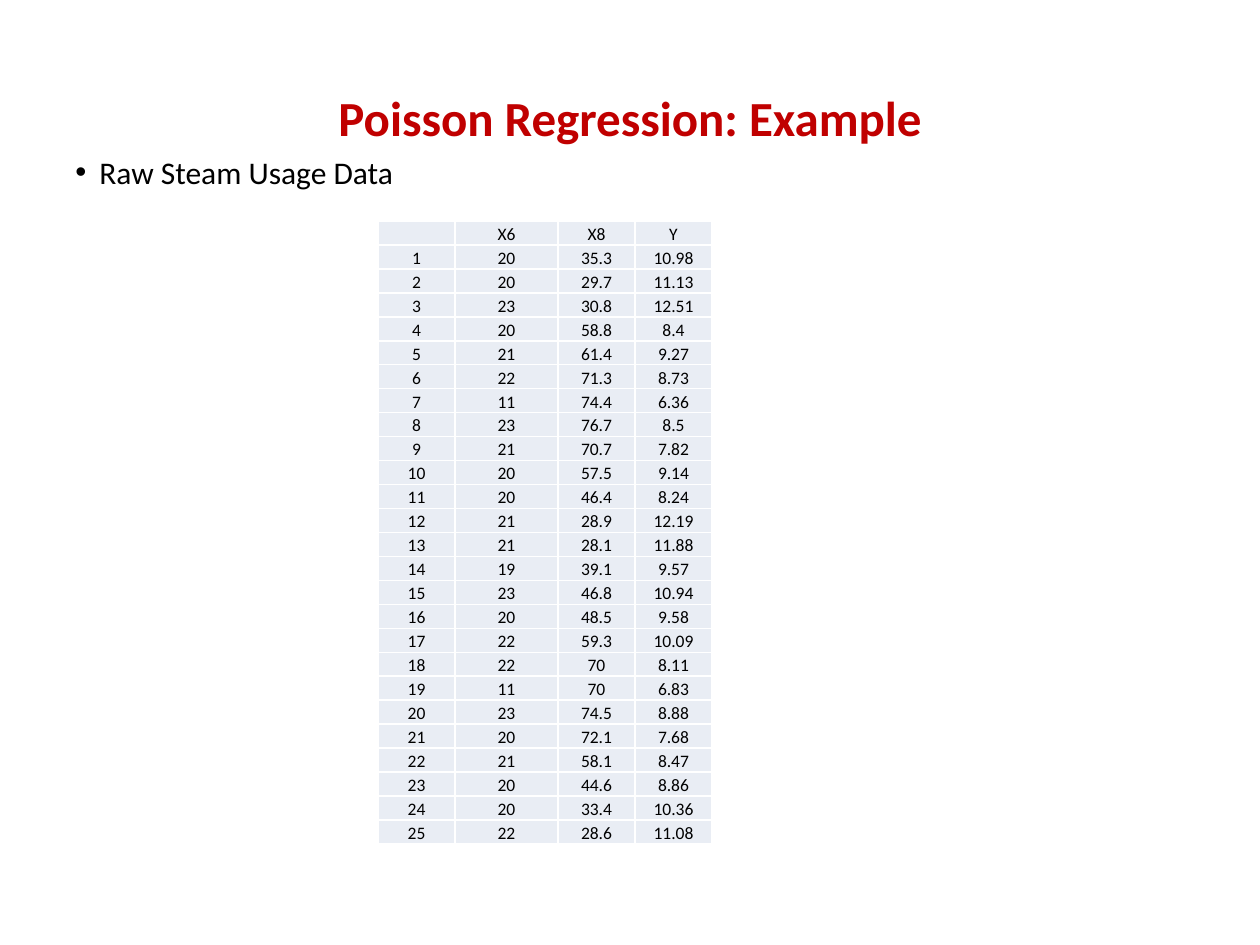
from lxml import etree
from pptx import Presentation
from pptx.dml.color import RGBColor
from pptx.enum.text import MSO_ANCHOR, PP_ALIGN
from pptx.oxml.ns import qn
from pptx.util import Emu, Pt

FONT = "Calibri"
RED = RGBColor(0xC0, 0x00, 0x00)
BLACK = RGBColor(0x00, 0x00, 0x00)
WHITE = RGBColor(0xFF, 0xFF, 0xFF)
PALE = RGBColor(0xE9, 0xED, 0xF4)
LEFT, CENTER = PP_ALIGN.LEFT, PP_ALIGN.CENTER
TOP, MIDDLE, BOTTOM = MSO_ANCHOR.TOP, MSO_ANCHOR.MIDDLE, MSO_ANCHOR.BOTTOM

COL_WIDTHS = (77, 103, 77, 77)
ROW_HEIGHT = 24
HEADER = ("", "X6", "X8", "Y")
STEAM_DATA = (
    (20, 35.3, 10.98), (20, 29.7, 11.13), (23, 30.8, 12.51), (20, 58.8, 8.4),
    (21, 61.4, 9.27), (22, 71.3, 8.73), (11, 74.4, 6.36), (23, 76.7, 8.5),
    (21, 70.7, 7.82), (20, 57.5, 9.14), (20, 46.4, 8.24), (21, 28.9, 12.19),
    (21, 28.1, 11.88), (19, 39.1, 9.57), (23, 46.8, 10.94), (20, 48.5, 9.58),
    (22, 59.3, 10.09), (22, 70, 8.11), (11, 70, 6.83), (23, 74.5, 8.88),
    (20, 72.1, 7.68), (21, 58.1, 8.47), (20, 44.6, 8.86), (20, 33.4, 10.36),
    (22, 28.6, 11.08),
)


def px(n):
    """Turn pixels into EMU."""
    return Emu(round(n * 914400 / 126))


def write(tf, text, size=10, color=BLACK, bold=False, align=CENTER):
    """Write one formatted paragraph and return it."""
    p = tf.paragraphs[0]
    p.alignment = align
    if not text:
        etree.SubElement(p._p, qn("a:endParaRPr"), sz=str(size * 100))
        return p
    r = p.add_run()
    r.text = text
    r.font.name = FONT
    r.font.size = Pt(size)
    r.font.bold = bold
    r.font.color.rgb = color
    return p


def add_text(slide, box, text, anchor=TOP, **fmt):
    """Add a wrapping text box and return its paragraph."""
    tf = slide.shapes.add_textbox(*map(px, box)).text_frame
    tf.word_wrap = True
    tf.vertical_anchor = anchor
    return write(tf, text, **fmt)


def add_bullet(p, indent):
    """Give a paragraph a hanging round bullet."""
    pPr = p._p.get_or_add_pPr()
    pPr.set("marL", str(px(indent)))
    pPr.set("indent", str(-px(indent)))
    etree.SubElement(pPr, qn("a:buFont"), typeface="Arial")
    etree.SubElement(pPr, qn("a:buChar"), char="•")


def add_borders(cell, color, width):
    """Draw all four borders of a cell."""
    tcPr = cell._tc.get_or_add_tcPr()
    for side in ("lnL", "lnR", "lnT", "lnB"):
        ln = etree.SubElement(tcPr, qn(f"a:{side}"), w=str(Pt(width)))
        fill = etree.SubElement(ln, qn("a:solidFill"))
        etree.SubElement(fill, qn("a:srgbClr"), val=str(color))


def fill_cell(cell, text):
    """Format one table cell and write its text."""
    cell.margin_left = cell.margin_right = cell.margin_top = px(1)
    cell.margin_bottom = 0
    cell.vertical_anchor = BOTTOM
    add_borders(cell, WHITE, 1)
    cell.fill.solid()
    cell.fill.fore_color.rgb = PALE
    write(cell.text_frame, text)


def add_data_table(slide, left, top, rows):
    """Add the table of steam usage."""
    size = (sum(COL_WIDTHS), ROW_HEIGHT * len(rows))
    table = slide.shapes.add_table(
        len(rows), len(COL_WIDTHS), *map(px, (left, top, *size))).table
    for col, width in zip(table.columns, COL_WIDTHS):
        col.width = px(width)
    for row, values in zip(table.rows, rows):
        row.height = px(ROW_HEIGHT)
        for cell, value in zip(row.cells, values):
            fill_cell(cell, str(value))


def main():
    """Build the slide and save it."""
    prs = Presentation()
    prs.slide_width, prs.slide_height = px(1260), px(945)
    slide = prs.slides.add_slide(prs.slide_layouts[6])
    add_text(slide, (63, 38, 1134, 157), "Poisson Regression: Example",
             anchor=MIDDLE, size=28, color=RED, bold=True)
    p = add_text(slide, (63, 147, 1134, 50), "Raw Steam Usage Data",
                 size=18, align=LEFT)
    add_bullet(p, 24)
    numbered = [(n, *values) for n, values in enumerate(STEAM_DATA, 1)]
    add_data_table(slide, 378, 221, [HEADER, *numbered])
    prs.save("out.pptx")


if __name__ == "__main__":
    main()
